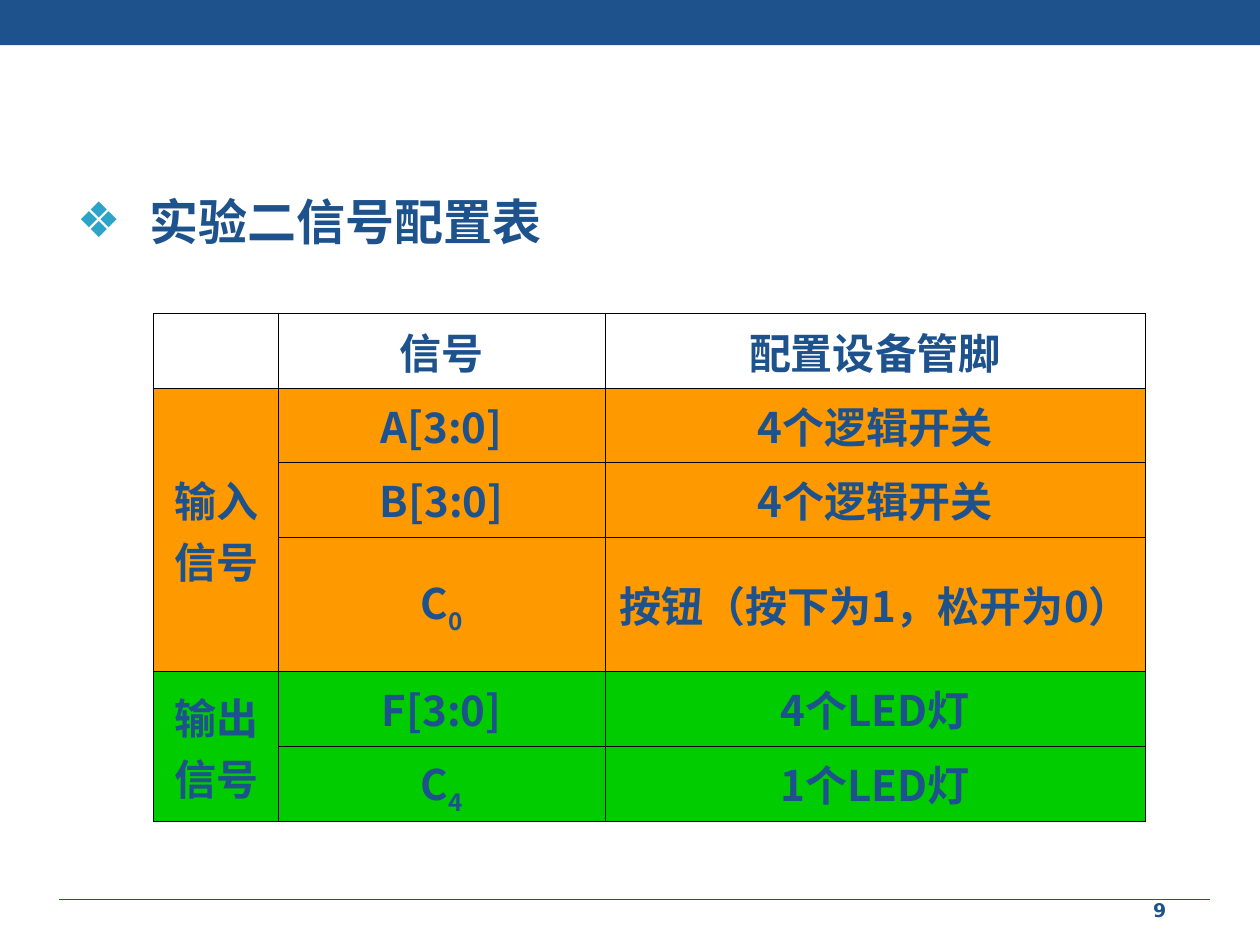
from lxml import etree
from pptx import Presentation
from pptx import util as u
from pptx.dml.color import RGBColor
from pptx.enum import shapes, text
from pptx.oxml import ns

COLORS = {"navy": "1D528D", "cyan": "2CA3C8", "orange": "FF9900",
          "green": "00CC00", "black": "000000"}


def add_span(para, words, size, face, baseline=0):
    span = para.add_run()
    span.text = words
    span.font.size = u.Pt(size)
    span.font.bold = True
    span.font.name = face
    span.font.color.rgb = RGBColor.from_string(COLORS["navy"])
    properties = span._r.get_or_add_rPr()
    if baseline:
        properties.set("baseline", str(baseline * 1000))
    etree.SubElement(properties, ns.qn("a:ea"), typeface="Noto Sans CJK SC")


def set_border(cell, position, side, points):
    line = etree.Element(ns.qn(f"a:ln{side}"), w=str(u.Pt(points)))
    fill = etree.SubElement(line, ns.qn("a:solidFill"))
    etree.SubElement(fill, ns.qn("a:srgbClr"), val=COLORS["black"])
    cell._tc.get_or_add_tcPr().insert(position, line)


deck = Presentation()
deck.slide_width = u.Inches(10)
deck.slide_height = u.Inches(7.5)
page = deck.slides.add_slide(deck.slide_layouts[1])
title = page.shapes.title
title._element.getparent().remove(title._element)

banner = page.shapes.add_shape(shapes.MSO_SHAPE.RECTANGLE, 0, 0, u.Inches(10), u.Inches(0.36))
banner.shadow.inherit = False
banner.fill.solid()
banner.fill.fore_color.rgb = RGBColor.from_string(COLORS["navy"])
banner.line.fill.background()

rule = page.shapes.add_connector(shapes.MSO_CONNECTOR.STRAIGHT, u.Inches(0.47), u.Inches(7.14),
                                 u.Inches(9.6), u.Inches(7.14))
rule.line.color.rgb = RGBColor.from_string(COLORS["navy"])
rule.line.width = u.Pt(0.75)
etree.SubElement(rule._element.spPr, ns.qn("a:effectLst"))

number_box = page.shapes.add_textbox(u.Inches(8.47), u.Inches(7.12), u.Inches(1.47), u.Inches(0.33))
number_box.text_frame.word_wrap = True
para = number_box.text_frame.paragraphs[0]
para.alignment = text.PP_ALIGN.CENTER
para.line_spacing = 0.8
add_span(para, "9", 10.8, "DejaVu Sans")

body = page.placeholders[1]
body.left, body.top = u.Inches(0.51), u.Inches(1.47)
body.width, body.height = u.Inches(9), u.Inches(0.71)
body.text_frame.auto_size = text.MSO_AUTO_SIZE.NONE
para = body.text_frame.paragraphs[0]
para.space_before = u.Pt(0)
bullet = para._p.get_or_add_pPr()
bullet.set("marL", str(u.Inches(0.58)))
bullet.set("indent", str(-u.Inches(0.58)))
bullet_color = etree.SubElement(bullet, ns.qn("a:buClr"))
etree.SubElement(bullet_color, ns.qn("a:srgbClr"), val=COLORS["cyan"])
etree.SubElement(bullet, ns.qn("a:buChar"), char="❖")
add_span(para, "实验二信号配置表", 28, "Arial")

rows = [
    (0.59, None, "", "信号", "", "配置设备管脚"),
    (0.59, "orange", "输入信号", "A[3:0]", "", "4个逻辑开关"),
    (0.59, "orange", "", "B[3:0]", "", "4个逻辑开关"),
    (1.07, "orange", "", "C", "0", "按钮（按下为1，松开为0）"),
    (0.59, "green", "输出信号", "F[3:0]", "", "4个LED灯"),
    (0.6, "green", "", "C", "4", "1个LED灯"),
]
widths = [0.99, 2.59, 4.29]
frame = page.shapes.add_table(len(rows), len(widths), u.Inches(1.22), u.Inches(2.49),
                              u.Inches(7.87), u.Inches(4.03))
table = frame.table
table.first_row = False
table.horz_banding = False
for column, width in zip(table.columns, widths):
    column.width = u.Inches(width)

last_row, last_column = len(rows) - 1, len(widths) - 1
for r, (height, color, group, signal, subscript, device) in enumerate(rows):
    table.rows[r].height = u.Inches(height)
    for c, words in enumerate([group, signal, device]):
        cell = table.cell(r, c)
        cell.vertical_anchor = text.MSO_ANCHOR.MIDDLE
        if color:
            cell.fill.solid()
            cell.fill.fore_color.rgb = RGBColor.from_string(COLORS[color])
        else:
            cell.fill.background()
        outer = {"L": c == 0, "R": c == last_column, "T": r == 0, "B": r == last_row}
        for position, (side, is_outer) in enumerate(outer.items()):
            set_border(cell, position, side, 0.75 if is_outer else 0.23)
        para = cell.text_frame.paragraphs[0]
        para.alignment = text.PP_ALIGN.CENTER
        if words:
            add_span(para, words, 24, "Noto Sans CJK SC")
        if c == 1 and subscript:
            add_span(para, subscript, 24, "Noto Sans CJK SC", -25)

for first, last in [(1, 3), (4, 5)]:
    table.cell(first, 0).merge(table.cell(last, 0))

deck.save("out.pptx")
